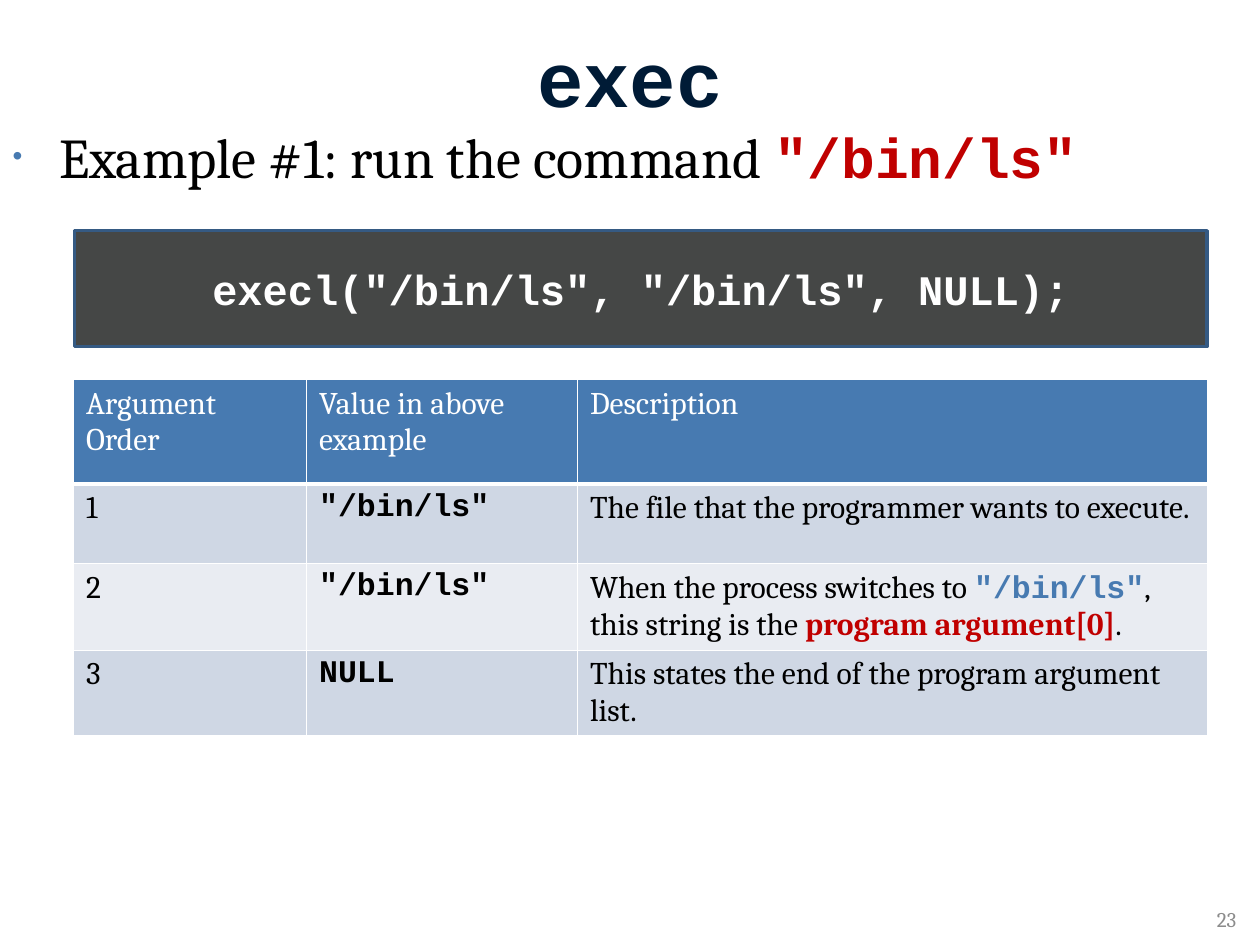
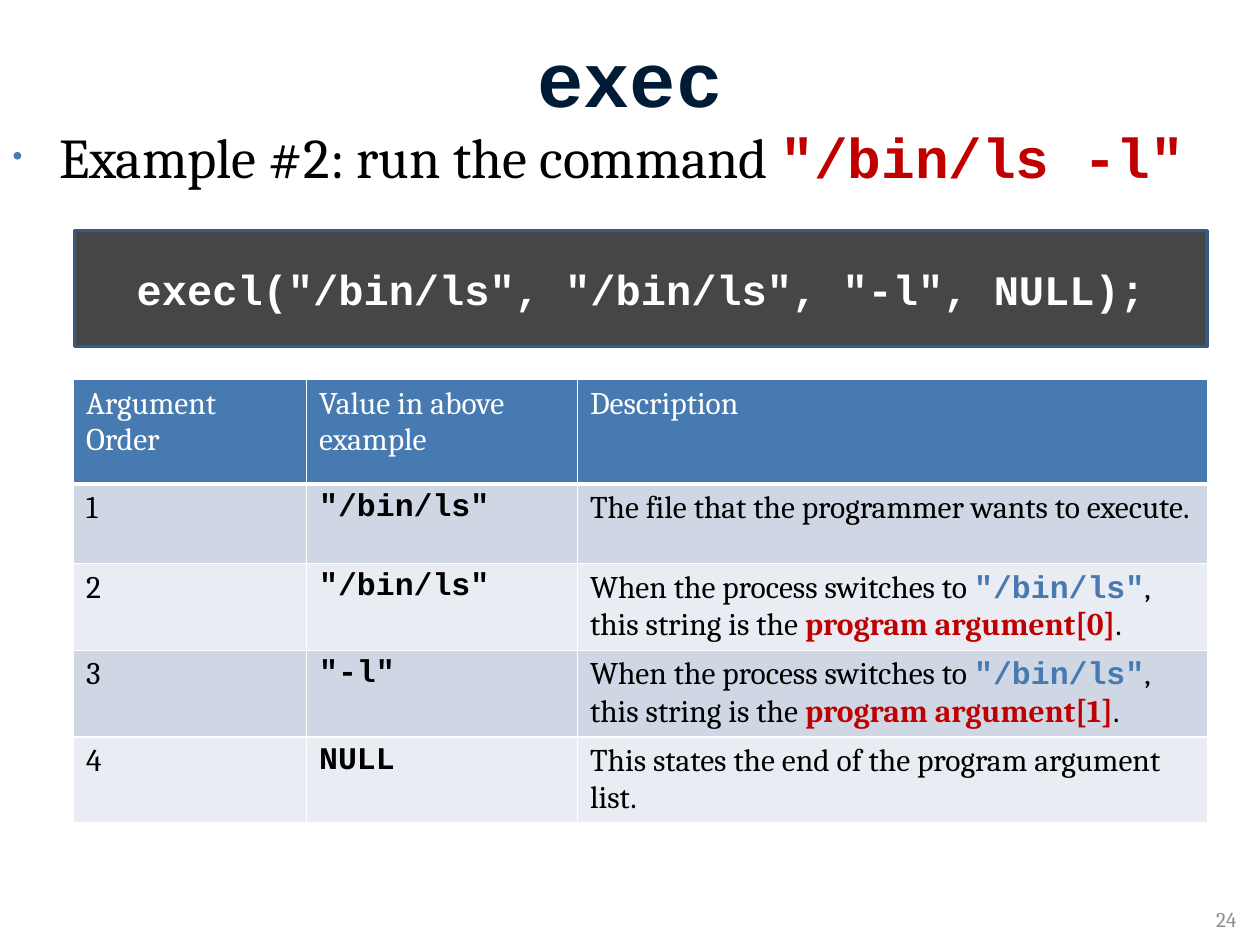
"""Builds two slides that explain the arguments of execl."""
from dataclasses import dataclass
from typing import NamedTuple

from lxml import etree
from pptx import Presentation
from pptx import util as u
from pptx.dml import color
from pptx.enum import shapes, text
from pptx.oxml import ns

COLORS = {
    "navy": "001B36", "blue": "477AB1", "edge": "355A83", "slate": "454746",
    "red": "C00000", "black": "000000", "white": "FFFFFF", "gray": "8C8C8C",
    "band_dark": "CFD7E4", "band_light": "E9ECF2",
}
SERIF, MONO = "Cambria", "Courier New"
COLUMN_WIDTHS = (133.2, 154.8, 360.4)
HEADER_HEIGHT, ROW_HEIGHT = 59.8, 45.4
TABLE_SIZE = 18


class Box(NamedTuple):
    left: float
    top: float
    width: float
    height: float

    def lengths(self) -> list[u.Length]:
        return [u.Pt(value) for value in self]


TITLE_BOX = Box(36, 21.6, 648, 44.6)
BODY_BOX = Box(0, 66.2, 720, 444.2)
NUMBER_BOX = Box(545.8, 516.2, 167.8, 18)
CODE_BOX = Box(42.5, 131.8, 647.3, 66.2)
TABLE_LEFT, TABLE_TOP = 42, 216.8


@dataclass(frozen=True)
class Span:
    words: str
    color: str = "black"
    font: str = SERIF
    bold: bool = False


@dataclass(frozen=True)
class Argument:
    value: str
    description: tuple[Span, ...]


@dataclass(frozen=True)
class Example:
    page_number: int
    label: str
    command: str
    code: str
    arguments: tuple[Argument, ...]


def program_argument(value: str, index: int) -> Argument:
    return Argument(value, (
        Span("When the process switches to "),
        Span('"/bin/ls"', "blue", MONO, True),
        Span(", this string is the "),
        Span(f"program argument[{index}]", "red", bold=True),
        Span("."),
    ))


HEADINGS = (("Argument", "Order"), ("Value in above", "example"), ("Description",))
FILE = Argument('"/bin/ls"', (Span("The file that the programmer wants to execute."),))
LIST_END = Argument("NULL", (Span("This states the end of the program argument list."),))
FIRST = program_argument('"/bin/ls"', 0)
EXAMPLES = (
    Example(23, "Example #1: run the command ", '"/bin/ls"',
            'execl("/bin/ls", "/bin/ls", NULL);', (FILE, FIRST, LIST_END)),
    Example(24, "Example #2: run the command ", '"/bin/ls -l"',
            'execl("/bin/ls", "/bin/ls", "-l", NULL);',
            (FILE, FIRST, program_argument('"-l"', 1), LIST_END)),
)


def rgb(name: str) -> color.RGBColor:
    return color.RGBColor.from_string(COLORS[name])


def write(para, size: float, *spans: Span) -> None:
    for span in spans:
        run = para.add_run()
        run.text = span.words
        run.font.size = u.Pt(size)
        run.font.name = span.font
        run.font.bold = span.bold
        run.font.color.rgb = rgb(span.color)


def place(shape, box: Box) -> None:
    shape.left, shape.top, shape.width, shape.height = box.lengths()


def set_frame(shape, anchor: text.MSO_ANCHOR, align: text.PP_ALIGN):
    frame = shape.text_frame
    frame.word_wrap = True
    frame.auto_size = text.MSO_AUTO_SIZE.NONE
    frame.vertical_anchor = anchor
    para = frame.paragraphs[0]
    para.alignment = align
    return para


def add_bullet(para) -> None:
    properties = para._p.get_or_add_pPr()
    properties.set("marL", str(u.Pt(26.6)))
    properties.set("indent", str(u.Pt(-26.6)))
    tint = etree.SubElement(properties, ns.qn("a:buClr"))
    etree.SubElement(tint, ns.qn("a:srgbClr"), val=COLORS["blue"])
    etree.SubElement(properties, ns.qn("a:buSzPct"), val="50000")
    etree.SubElement(properties, ns.qn("a:buFont"), typeface="Arial")
    etree.SubElement(properties, ns.qn("a:buChar"), char="•")


def add_code(page, code: str) -> None:
    panel = page.shapes.add_shape(shapes.MSO_SHAPE.RECTANGLE, *CODE_BOX.lengths())
    panel.shadow.inherit = False
    panel.fill.solid()
    panel.fill.fore_color.rgb = rgb("slate")
    panel.line.color.rgb = rgb("edge")
    panel.line.width = u.Pt(2)
    para = set_frame(panel, text.MSO_ANCHOR.MIDDLE, text.PP_ALIGN.CENTER)
    write(para, 24, Span(code, "white", MONO, True))


def style_cell(cell, fill: str, bottom: float = 1) -> None:
    properties = cell._tc.get_or_add_tcPr()
    for side, width in {"L": 1, "R": 1, "T": 1, "B": bottom}.items():
        line = etree.SubElement(properties, ns.qn(f"a:ln{side}"), w=str(u.Pt(width)))
        paint = etree.SubElement(line, ns.qn("a:solidFill"))
        etree.SubElement(paint, ns.qn("a:srgbClr"), val=COLORS["white"])
    cell.fill.solid()
    cell.fill.fore_color.rgb = rgb(fill)


def add_arguments(page, arguments: tuple[Argument, ...]) -> None:
    heights = [HEADER_HEIGHT] + [ROW_HEIGHT] * len(arguments)
    box = Box(TABLE_LEFT, TABLE_TOP, sum(COLUMN_WIDTHS), sum(heights))
    table = page.shapes.add_table(len(heights), len(COLUMN_WIDTHS), *box.lengths()).table
    for column, width in zip(table.columns, COLUMN_WIDTHS):
        column.width = u.Pt(width)
    for row, height in zip(table.rows, heights):
        row.height = u.Pt(height)
    for cell, lines in zip(table.rows[0].cells, HEADINGS):
        style_cell(cell, "blue", bottom=3)
        frame = cell.text_frame
        for index, words in enumerate(lines):
            para = frame.add_paragraph() if index else frame.paragraphs[0]
            write(para, TABLE_SIZE, Span(words, "white"))
    for order, argument in enumerate(arguments, start=1):
        contents = ((Span(str(order)),),
                    (Span(argument.value, font=MONO, bold=True),),
                    argument.description)
        for cell, spans in zip(table.rows[order].cells, contents):
            style_cell(cell, "band_dark" if order % 2 else "band_light")
            write(cell.text_frame.paragraphs[0], TABLE_SIZE, *spans)


def add_page(deck, example: Example) -> None:
    page = deck.slides.add_slide(deck.slide_layouts[1])
    title, body = page.placeholders
    place(title, TITLE_BOX)
    para = set_frame(title, text.MSO_ANCHOR.MIDDLE, text.PP_ALIGN.CENTER)
    write(para, 44.2, Span("exec", "navy", MONO, True))

    place(body, BODY_BOX)
    para = set_frame(body, text.MSO_ANCHOR.TOP, text.PP_ALIGN.LEFT)
    add_bullet(para)
    write(para, 32.1, Span(example.label), Span(example.command, "red", MONO, True))

    number = page.shapes.add_textbox(*NUMBER_BOX.lengths())
    para = set_frame(number, text.MSO_ANCHOR.MIDDLE, text.PP_ALIGN.RIGHT)
    write(para, 12, Span(str(example.page_number), "gray"))

    add_code(page, example.code)
    add_arguments(page, example.arguments)


def main() -> None:
    deck = Presentation()
    deck.slide_width, deck.slide_height = u.Pt(720), u.Pt(540)
    for example in EXAMPLES:
        add_page(deck, example)
    deck.save("out.pptx")


if __name__ == "__main__":
    main()
